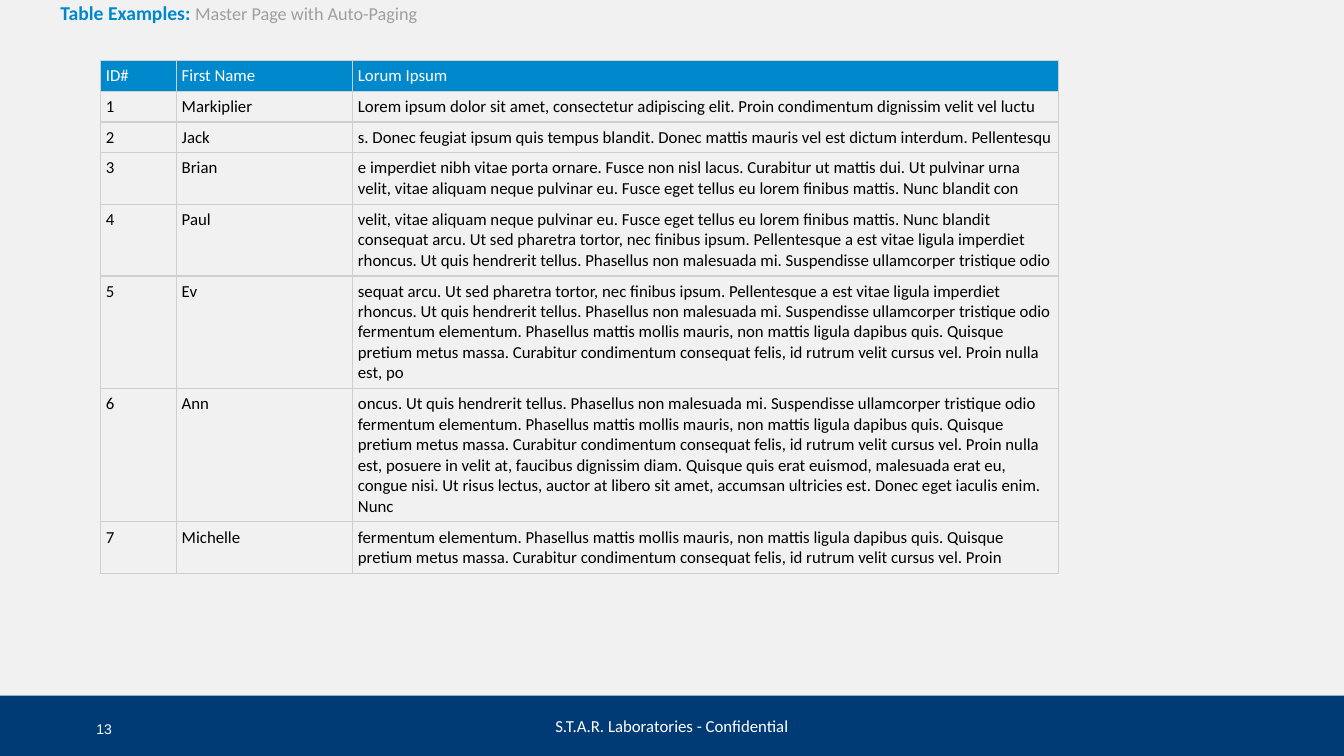
"""Build the table example slide with its title, table and footer bar."""
from lxml import etree
from pptx import Presentation
from pptx.dml.color import RGBColor
from pptx.enum import shapes, text
from pptx.oxml.ns import qn
from pptx.util import Cm, Pt

NAVY = RGBColor(0x00, 0x3B, 0x75)
BLUE = RGBColor(0x00, 0x88, 0xCC)
GREY = RGBColor(0x9F, 0x9F, 0x9F)
RULE = RGBColor(0xCF, 0xCF, 0xCF)
PAPER = RGBColor(0xF1, 0xF1, 0xF1)
WHITE = RGBColor(0xFF, 0xFF, 0xFF)
BLACK = RGBColor(0x00, 0x00, 0x00)

TITLE = [
    ("Table Examples: ", {"size": Pt(14), "bold": True}, BLUE),
    ("Master Page with Auto-Paging", {"size": Pt(13), "bold": False}, GREY),
]
FOOTER = "S.T.A.R. Laboratories - Confidential"
PAGE = "13"
HEADER = ("ID#", "First Name", "Lorum Ipsum")
PEOPLE = [
    ("Markiplier", 1, "Lorem ipsum dolor sit amet, consectetur adipiscing elit. "
     "Proin condimentum dignissim velit vel luctu"),
    ("Jack", 1, "s. Donec feugiat ipsum quis tempus blandit. Donec mattis mauris vel est "
     "dictum interdum. Pellentesqu"),
    ("Brian", 2, "e imperdiet nibh vitae porta ornare. Fusce non nisl lacus. Curabitur ut "
     "mattis dui. Ut pulvinar urna velit, vitae aliquam neque pulvinar eu. Fusce eget "
     "tellus eu lorem finibus mattis. Nunc blandit con"),
    ("Paul", 3, "velit, vitae aliquam neque pulvinar eu. Fusce eget tellus eu lorem finibus "
     "mattis. Nunc blandit consequat arcu. Ut sed pharetra tortor, nec finibus ipsum. "
     "Pellentesque a est vitae ligula imperdiet rhoncus. Ut quis hendrerit tellus. "
     "Phasellus non malesuada mi. Suspendisse ullamcorper tristique odio"),
    ("Ev", 5, "sequat arcu. Ut sed pharetra tortor, nec finibus ipsum. Pellentesque a est "
     "vitae ligula imperdiet rhoncus. Ut quis hendrerit tellus. Phasellus non malesuada mi. "
     "Suspendisse ullamcorper tristique odio fermentum elementum. Phasellus mattis mollis "
     "mauris, non mattis ligula dapibus quis. Quisque pretium metus massa. Curabitur "
     "condimentum consequat felis, id rutrum velit cursus vel. Proin nulla est, po"),
    ("Ann", 6, "oncus. Ut quis hendrerit tellus. Phasellus non malesuada mi. Suspendisse "
     "ullamcorper tristique odio fermentum elementum. Phasellus mattis mollis mauris, non "
     "mattis ligula dapibus quis. Quisque pretium metus massa. Curabitur condimentum "
     "consequat felis, id rutrum velit cursus vel. Proin nulla est, posuere in velit at, "
     "faucibus dignissim diam. Quisque quis erat euismod, malesuada erat eu, congue nisi. "
     "Ut risus lectus, auctor at libero sit amet, accumsan ultricies est. Donec eget "
     "iaculis enim. Nunc"),
    ("Michelle", 2, "fermentum elementum. Phasellus mattis mollis mauris, non mattis ligula "
     "dapibus quis. Quisque pretium metus massa. Curabitur condimentum consequat felis, id "
     "rutrum velit cursus vel. Proin"),
]
COLUMNS = (1.91, 4.44, 17.78)
LINE, PADDING = 0.51, 0.26
MARGINS = ("margin_left", "margin_right", "margin_top", "margin_bottom")


def set_all(obj, values):
    """Set every attribute in a dict on an object."""
    for name, value in values.items():
        setattr(obj, name, value)


def add_run(p, wording, color, **values):
    """Add a formatted run to a paragraph."""
    r = p.add_run()
    r.text = wording
    set_all(r.font, {"name": "Calibri", "size": Pt(12), "bold": False, **values})
    r.font.color.rgb = color


def set_borders(cell):
    """Draw a thin rule on all four sides of a cell."""
    tcPr = cell._tc.get_or_add_tcPr()
    for i, side in enumerate(("a:lnL", "a:lnR", "a:lnT", "a:lnB")):
        ln = etree.Element(qn(side), w=str(Pt(1)))
        fill = etree.SubElement(ln, qn("a:solidFill"))
        etree.SubElement(fill, qn("a:srgbClr"), val=str(RULE))
        tcPr.insert(i, ln)


def add_title(s):
    """Fill the title placeholder."""
    sp = s.shapes.title
    set_all(sp, {"left": Cm(1.27), "top": Cm(0), "width": Cm(30.48), "height": Cm(0.66)})
    tf = sp.text_frame
    set_all(tf, {"margin_top": 0, "margin_bottom": 0, "word_wrap": True,
                 "auto_size": text.MSO_AUTO_SIZE.NONE,
                 "vertical_anchor": text.MSO_ANCHOR.MIDDLE})
    p = tf.paragraphs[0]
    p.alignment = text.PP_ALIGN.LEFT
    for wording, values, color in TITLE:
        add_run(p, wording, color, **values)


def add_people(s):
    """Add the table, with row heights worked out from line counts."""
    rows = [HEADER] + [(str(i), name, words) for i, (name, _, words) in enumerate(PEOPLE, 1)]
    heights = [PADDING + LINE * n for n in [1] + [lines for _, lines, _ in PEOPLE]]
    table = s.shapes.add_table(len(rows), len(COLUMNS), Cm(2.54), Cm(1.52),
                               Cm(sum(COLUMNS)), Cm(sum(heights))).table
    table.horz_banding = False
    for column, width in zip(table.columns, COLUMNS):
        column.width = Cm(width)
    for i, (row, height, values) in enumerate(zip(table.rows, heights, rows)):
        row.height = Cm(height)
        for cell, wording in zip(row.cells, values):
            set_all(cell, dict.fromkeys(MARGINS, Cm(0.13)))
            if i == 0:
                cell.vertical_anchor = text.MSO_ANCHOR.MIDDLE
                cell.fill.solid()
                cell.fill.fore_color.rgb = BLUE
            else:
                cell.vertical_anchor = text.MSO_ANCHOR.TOP
                cell.fill.background()
            set_borders(cell)
            add_run(cell.text_frame.paragraphs[0], wording, BLACK if i else WHITE)


def add_footer(s, width):
    """Add the footer bar and the page number."""
    bar = s.shapes.add_shape(shapes.MSO_SHAPE.RECTANGLE, 0, Cm(17.53), width, Cm(1.52))
    bar.shadow.inherit = False
    bar.fill.solid()
    bar.fill.fore_color.rgb = NAVY
    bar.line.fill.background()
    bar.text_frame.vertical_anchor = text.MSO_ANCHOR.MIDDLE
    page = s.shapes.add_textbox(Cm(1.52), Cm(18.03), Cm(2.21), Cm(0.84))
    page.text_frame.word_wrap = True
    for sp, wording, values in ((bar, FOOTER, {}),
                                (page, PAGE, {"name": "Arial", "size": Pt(10)})):
        p = sp.text_frame.paragraphs[0]
        p.alignment = text.PP_ALIGN.CENTER
        add_run(p, wording, WHITE, **values)


def main():
    """Build and save the slide."""
    prs = Presentation()
    set_all(prs, {"slide_width": Cm(33.87), "slide_height": Cm(19.05)})
    s = prs.slides.add_slide(prs.slide_layouts[5])
    s.background.fill.solid()
    s.background.fill.fore_color.rgb = PAPER
    add_title(s)
    add_people(s)
    add_footer(s, prs.slide_width)
    prs.save("out.pptx")


if __name__ == "__main__":
    main()
